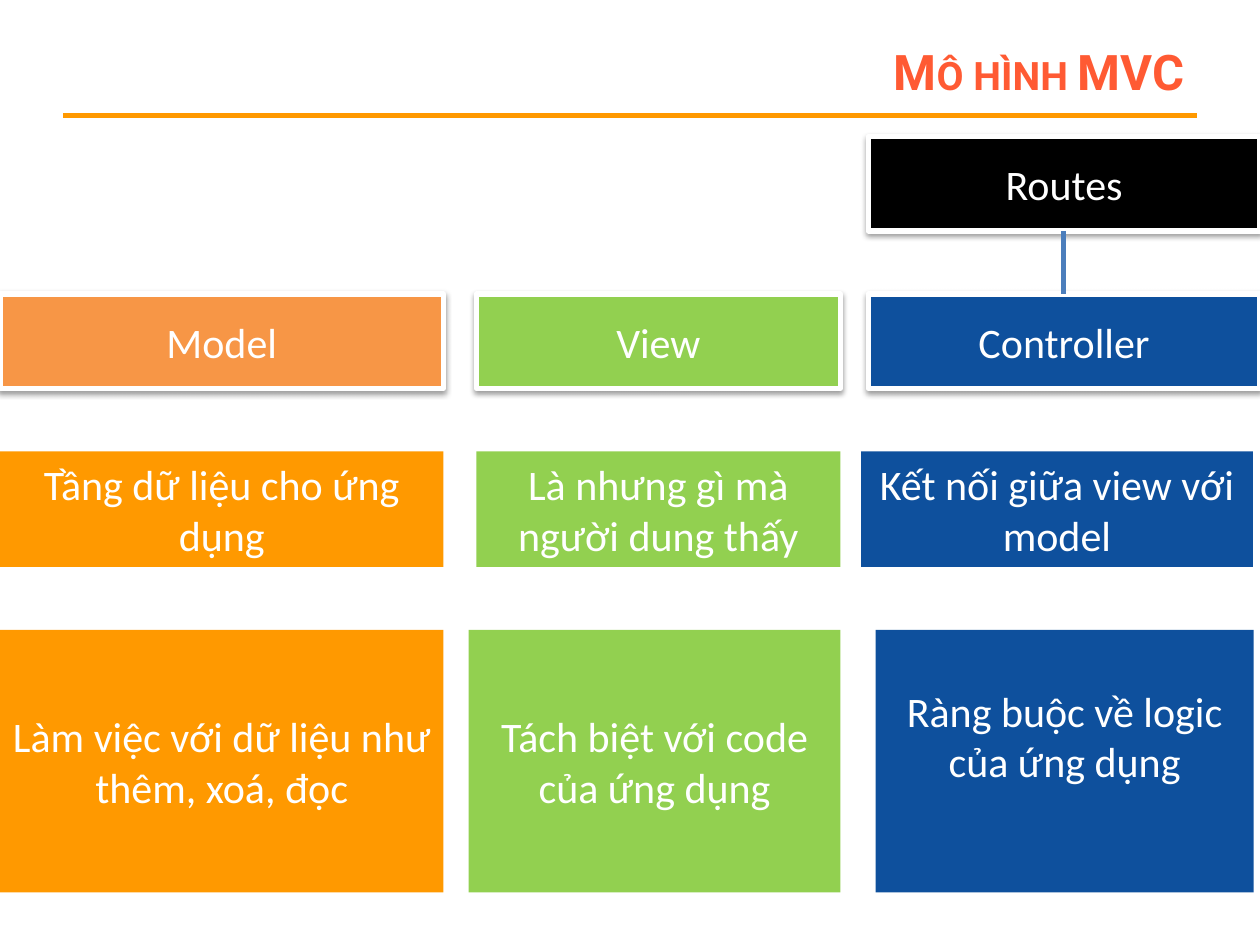
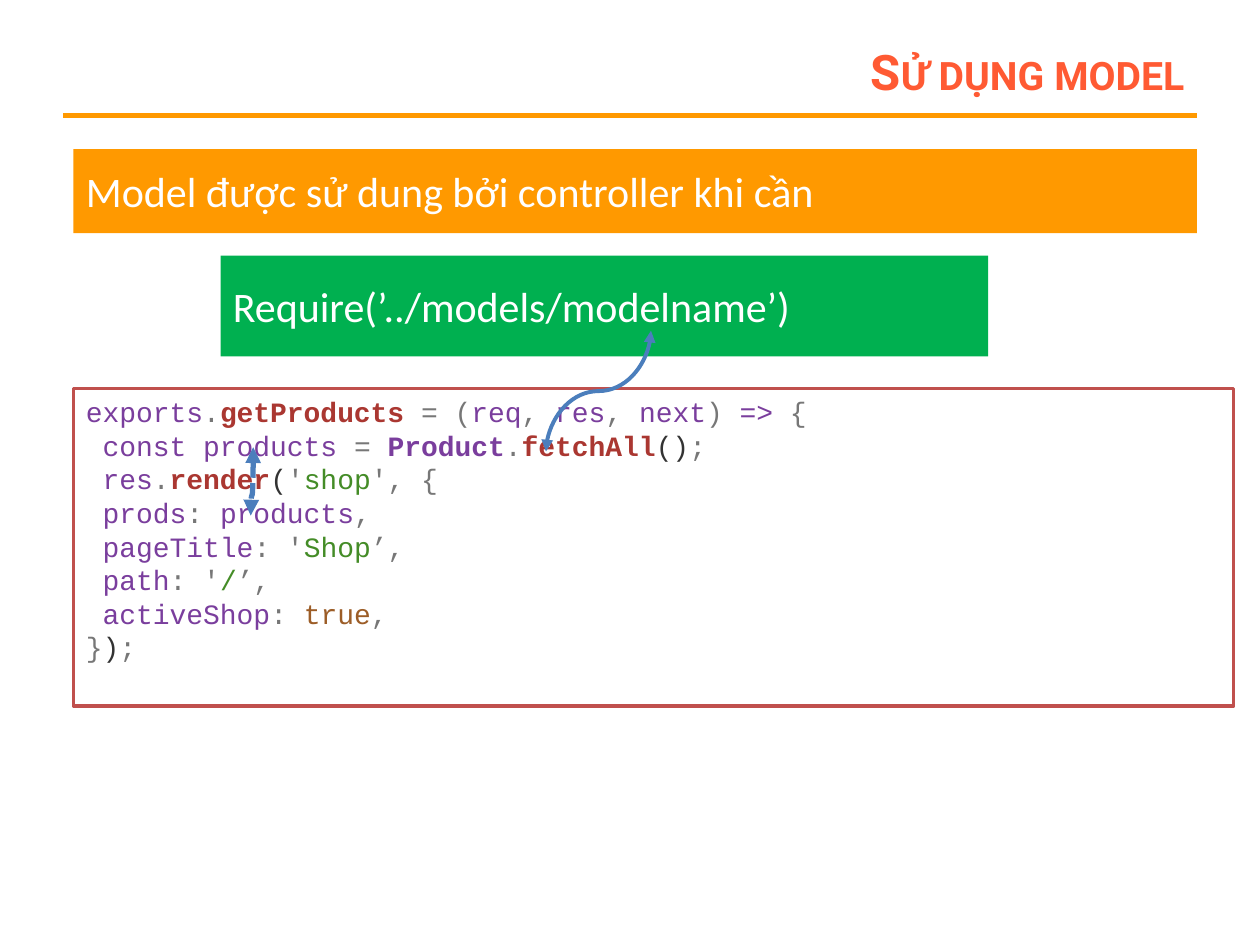
from lxml import etree
from pptx import Presentation
from pptx.dml.color import RGBColor
from pptx.enum.dml import MSO_LINE
from pptx.enum.shapes import MSO_CONNECTOR, MSO_SHAPE
from pptx.enum.text import MSO_ANCHOR, PP_ALIGN
from pptx.oxml.ns import qn
from pptx.util import Inches, Pt

RECTANGLE = MSO_SHAPE.RECTANGLE
STRAIGHT, CURVE = MSO_CONNECTOR.STRAIGHT, MSO_CONNECTOR.CURVE
SHORT_DASH = MSO_LINE.SQUARE_DOT
TOP, MIDDLE = MSO_ANCHOR.TOP, MSO_ANCHOR.MIDDLE
LEFT, CENTER, RIGHT = PP_ALIGN.LEFT, PP_ALIGN.CENTER, PP_ALIGN.RIGHT

SLIDE_WIDTH, SLIDE_HEIGHT = Inches(10), Inches(7.5)
CELL = SLIDE_WIDTH / 120

WHITE = RGBColor(0xFF, 0xFF, 0xFF)
BLACK = RGBColor(0x00, 0x00, 0x00)
TITLE_RED = RGBColor(0xFF, 0x5A, 0x33)
ORANGE = RGBColor(0xFF, 0x99, 0x00)
SOFT_ORANGE = RGBColor(0xF7, 0x96, 0x46)
LIME = RGBColor(0x92, 0xD0, 0x50)
GREEN = RGBColor(0x00, 0xB0, 0x50)
NAVY = RGBColor(0x0E, 0x50, 0x9D)
ARROW_BLUE = RGBColor(0x4B, 0x7E, 0xBC)
FRAME_RED = RGBColor(0xC0, 0x50, 0x4D)

NAME = (RGBColor(0x7A, 0x3E, 0x9D), False)
TYPE = (RGBColor(0x7A, 0x3E, 0x9D), True)
CALL = (RGBColor(0xAA, 0x37, 0x31), True)
MARK = (RGBColor(0x77, 0x77, 0x77), False)
PAREN = (RGBColor(0x33, 0x33, 0x33), False)
STRING = (RGBColor(0x44, 0x8C, 0x27), False)
LITERAL = (RGBColor(0x9C, 0x5D, 0x27), False)

CODE = [
    [("exports", NAME), (".", MARK), ("getProducts ", CALL), ("= (", MARK),
     ("req", NAME), (", ", MARK), ("res", NAME), (", ", MARK),
     ("next", NAME), (") ", MARK), ("=> ", NAME), ("{", MARK)],
    [(" const products ", NAME), ("= ", MARK), ("Product", TYPE), (".", MARK),
     ("fetchAll", CALL), ("()", PAREN), (";", MARK)],
    [(" res", NAME), (".", MARK), ("render", CALL), ("(", PAREN),
     ("'", MARK), ("shop", STRING), ("', {", MARK)],
    [(" prods", NAME), (": ", MARK), ("products", NAME), (",", MARK)],
    [(" pageTitle", NAME), (": '", MARK), ("Shop", STRING), ("’,", MARK)],
    [(" path", NAME), (": '", MARK), ("/", STRING), ("’,", MARK)],
    [(" activeShop", NAME), (": ", MARK), ("true", LITERAL), (",", MARK)],
    [("}", MARK), (")", PAREN), (";", MARK)],
]


def cells(*counts):
    return [round(count * CELL) for count in counts]


def style_font(font, name, size, color, bold=False):
    font.name, font.size, font.bold = name, Pt(size), bold
    font.color.rgb = color


def add_panel(page, area, fill, outline=None, outline_width=3):
    panel = page.shapes.add_shape(RECTANGLE, *cells(*area))
    panel.shadow.inherit = False
    panel.fill.solid()
    panel.fill.fore_color.rgb = fill
    if outline is None:
        panel.line.fill.background()
    else:
        panel.line.color.rgb = outline
        panel.line.width = Pt(outline_width)
    panel.text_frame.word_wrap = True
    return panel


def add_label(page, area, text, fill, align=CENTER, outline=None):
    label = add_panel(page, area, fill, outline)
    label.text_frame.vertical_anchor = MIDDLE
    para = label.text_frame.paragraphs[0]
    para.text, para.alignment = text, align
    style_font(para.font, "Calibri", 24, WHITE)
    return label


def add_heading(page, area, text, fill):
    heading = add_label(page, area, text, fill, outline=WHITE)
    effects = heading._element.spPr.find(qn("a:effectLst"))
    shadow = etree.SubElement(effects, qn("a:outerShdw"), blurRad="40000",
                              dist="20000", dir="5400000", rotWithShape="0")
    color = etree.SubElement(shadow, qn("a:srgbClr"), val=str(BLACK))
    etree.SubElement(color, qn("a:alpha"), val="38000")


def add_code(page, area, lines):
    frame = add_panel(page, area, WHITE, FRAME_RED, 2).text_frame
    frame.vertical_anchor = TOP
    for index, line in enumerate(lines):
        para = frame.add_paragraph() if index else frame.paragraphs[0]
        para.alignment = LEFT
        for text, (color, bold) in line:
            span = para.add_run()
            span.text = text
            style_font(span.font, "Courier New", 16, color, bold)


def add_line(page, start, end, color, width=3, kind=STRAIGHT):
    line = page.shapes.add_connector(kind, *cells(*start, *end))
    line.line.color.rgb = color
    line.line.width = Pt(width)
    etree.SubElement(line._element.spPr, qn("a:effectLst"))
    return line


def add_curved_arrow(page, start, end, width, dash=None, bend=50000):
    center_x, center_y = (start[0] + end[0]) / 2, (start[1] + end[1]) / 2
    half_width, half_height = (end[1] - start[1]) / 2, (start[0] - end[0]) / 2
    arrow = add_line(page, (center_x - half_width, center_y - half_height),
                     (center_x + half_width, center_y + half_height),
                     ARROW_BLUE, width, CURVE)
    if dash is not None:
        arrow.line.dash_style = dash
    properties = arrow._element.spPr
    properties.find(qn("a:xfrm")).set("rot", "5400000")
    guides = properties.find(qn("a:prstGeom")).find(qn("a:avLst"))
    etree.SubElement(guides, qn("a:gd"), name="adj1", fmla=f"val {bend}")
    outline = properties.find(qn("a:ln"))
    for tag in ("a:headEnd", "a:tailEnd"):
        etree.SubElement(outline, qn(tag), type="triangle")


def add_page(deck, title):
    page = deck.slides.add_slide(deck.slide_layouts[6])
    add_line(page, (6, 11), (114, 11), ORANGE)
    frame = page.shapes.add_textbox(*cells(27, 3.6, 87, 6.36)).text_frame
    frame.word_wrap = True
    frame.vertical_anchor = MIDDLE
    para = frame.paragraphs[0]
    para.alignment = RIGHT
    span = para.add_run()
    span.text = title
    style_font(span.font, "Roboto", 28, TITLE_RED, True)
    span.font._element.set("cap", "small")
    return page


def build_mvc_page(deck):
    page = add_page(deck, "Mô hình MVC")
    model, view, controller = (0, 42.24), (45.36, 34.68), (82.68, 37.32)
    headings = [
        (controller, 13, "Routes", BLACK),
        (model, 28, "Model", SOFT_ORANGE),
        (view, 28, "View", LIME),
        (controller, 28, "Controller", NAVY),
    ]
    for (left, width), top, text, fill in headings:
        add_heading(page, (left, top, width, 9), text, fill)
    add_line(page, (101.3, 22), (101.3, 28), ARROW_BLUE)

    roles = [
        (model, "Tầng dữ liệu cho ứng dụng", ORANGE),
        (view, "Là nhưng gì mà người dung thấy", LIME),
        ((82, 37.32), "Kết nối giữa view với model", NAVY),
    ]
    for (left, width), text, fill in roles:
        add_label(page, (left, 43, width, 11), text, fill)

    duties = [
        (model, "Làm việc với dữ liệu như thêm, xoá, đọc", ORANGE),
        ((44.64, 35.4), "Tách biệt với code của ứng dụng", LIME),
        ((83.4, 36), "Ràng buộc về logic của ứng dụng", NAVY),
    ]
    for (left, width), text, fill in duties:
        duty = add_label(page, (left, 60, width, 25), text, fill)
    duty.text_frame.margin_bottom = Inches(0.45)


def build_model_page(deck):
    page = add_page(deck, "Sử dụng model")
    add_label(page, (7, 14.2, 107, 8),
              "Model được sử dung bởi controller khi cần", ORANGE, LEFT)
    add_label(page, (21, 24.36, 73.1, 9.6),
              "Require(’../models/modelname’)", GREEN, LEFT)
    add_code(page, (7, 37, 110.5, 30.24), CODE)
    add_curved_arrow(page, (62, 31.5), (52, 43), 2.25)
    add_curved_arrow(page, (24.12, 42.6), (23.88, 49.1), 3, SHORT_DASH, 70100)


def main():
    deck = Presentation()
    deck.slide_width, deck.slide_height = SLIDE_WIDTH, SLIDE_HEIGHT
    build_mvc_page(deck)
    build_model_page(deck)
    deck.save("out.pptx")


if __name__ == "__main__":
    main()
